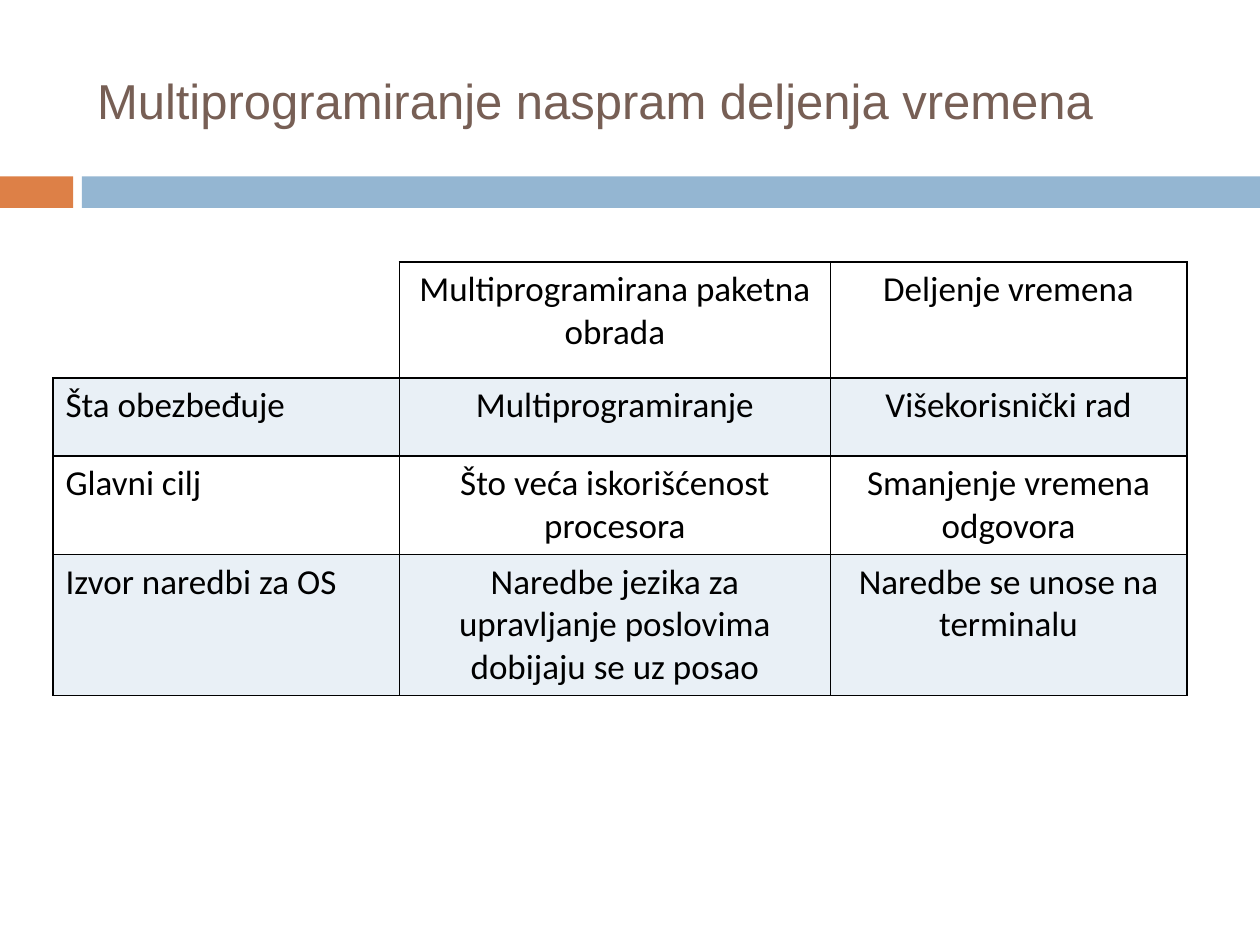
from lxml import etree
from pptx import Presentation
from pptx.dml.color import RGBColor
from pptx.enum.shapes import MSO_SHAPE
from pptx.enum.text import MSO_ANCHOR, PP_ALIGN
from pptx.oxml.ns import qn
from pptx.util import Inches, Pt

RECTANGLE = MSO_SHAPE.RECTANGLE
MIDDLE = MSO_ANCHOR.MIDDLE
LEFT, CENTER = PP_ALIGN.LEFT, PP_ALIGN.CENTER

ORANGE, BLUE, BROWN, BLACK = "DD8047", "94B6D2", "775F55", "000000"
COLUMN_WIDTHS = (2.75, 3.42, 2.83)
ROW_HEIGHTS = (0.92, 0.62, 0.78, 1.12)
COMPARISON = (
    ("", "Multiprogramirana paketna obrada", "Deljenje vremena"),
    ("Šta obezbeđuje", "Multiprogramiranje", "Višekorisnički rad"),
    ("Glavni cilj", "Što veća iskorišćenost procesora", "Smanjenje vremena odgovora"),
    ("Izvor naredbi za OS",
     "Naredbe jezika za upravljanje poslovima dobijaju se uz posao",
     "Naredbe se unose na terminalu"),
)


def color(value):
    return RGBColor.from_string(value)


def add_run(paragraph, text, font_name, size, text_color, alignment):
    paragraph.alignment = alignment
    run = paragraph.add_run()
    run.text = text
    run.font.name = font_name
    run.font.size = Pt(size)
    run.font.color.rgb = color(text_color)


def add_band(slide, left, width, fill_color):
    band = slide.shapes.add_shape(
        RECTANGLE, Inches(left), Inches(1.4), Inches(width), Inches(0.25))
    band.shadow.inherit = False
    band.fill.solid()
    band.fill.fore_color.rgb = color(fill_color)
    band.line.fill.background()


def set_title(slide, text):
    title = slide.shapes.title
    title.left, title.top = Inches(0.67), Inches(0.25)
    title.width, title.height = Inches(8.92), Inches(1.08)
    title.text_frame.vertical_anchor = MIDDLE
    add_run(title.text_frame.paragraphs[0], text, "Arial", 28, BROWN, LEFT)


def set_borders(cell, visible_sides):
    properties = cell._tc.get_or_add_tcPr()
    for side in "LRTB":
        border = etree.SubElement(properties, qn(f"a:ln{side}"), w=str(Pt(1)))
        if side in visible_sides:
            fill = etree.SubElement(border, qn("a:solidFill"))
            etree.SubElement(fill, qn("a:srgbClr"), val=BLACK)
        else:
            etree.SubElement(border, qn("a:noFill"))


def set_fill(cell, shaded):
    if not shaded:
        cell.fill.background()
        return
    cell.fill.solid()
    cell.fill.fore_color.rgb = color(BLUE)
    shade = cell._tc.tcPr.find(f".//{qn('a:solidFill')}[last()]/{qn('a:srgbClr')}[@val='{BLUE}']")
    etree.SubElement(shade, qn("a:alpha"), val="20000")


def add_comparison(slide):
    table = slide.shapes.add_table(
        len(ROW_HEIGHTS), len(COLUMN_WIDTHS), Inches(0.42), Inches(2.08),
        Inches(sum(COLUMN_WIDTHS)), Inches(sum(ROW_HEIGHTS))).table
    for column, width in zip(table.columns, COLUMN_WIDTHS):
        column.width = Inches(width)
    for row, height in zip(table.rows, ROW_HEIGHTS):
        row.height = Inches(height)
    for row_index, texts in enumerate(COMPARISON):
        for column_index, text in enumerate(texts):
            cell = table.cell(row_index, column_index)
            set_borders(cell, "LRTB" if text else "RB")
            set_fill(cell, row_index % 2 == 1)
            if text:
                add_run(cell.text_frame.paragraphs[0], text, "Calibri", 20, BLACK,
                        CENTER if column_index else LEFT)


def main():
    presentation = Presentation()
    presentation.slide_width, presentation.slide_height = Inches(10), Inches(7.5)
    slide = presentation.slides.add_slide(presentation.slide_layouts[5])
    add_band(slide, 0, 0.58, ORANGE)
    add_band(slide, 0.65, 9.35, BLUE)
    set_title(slide, "Multiprogramiranje naspram deljenja vremena")
    add_comparison(slide)
    presentation.save("out.pptx")


if __name__ == "__main__":
    main()
